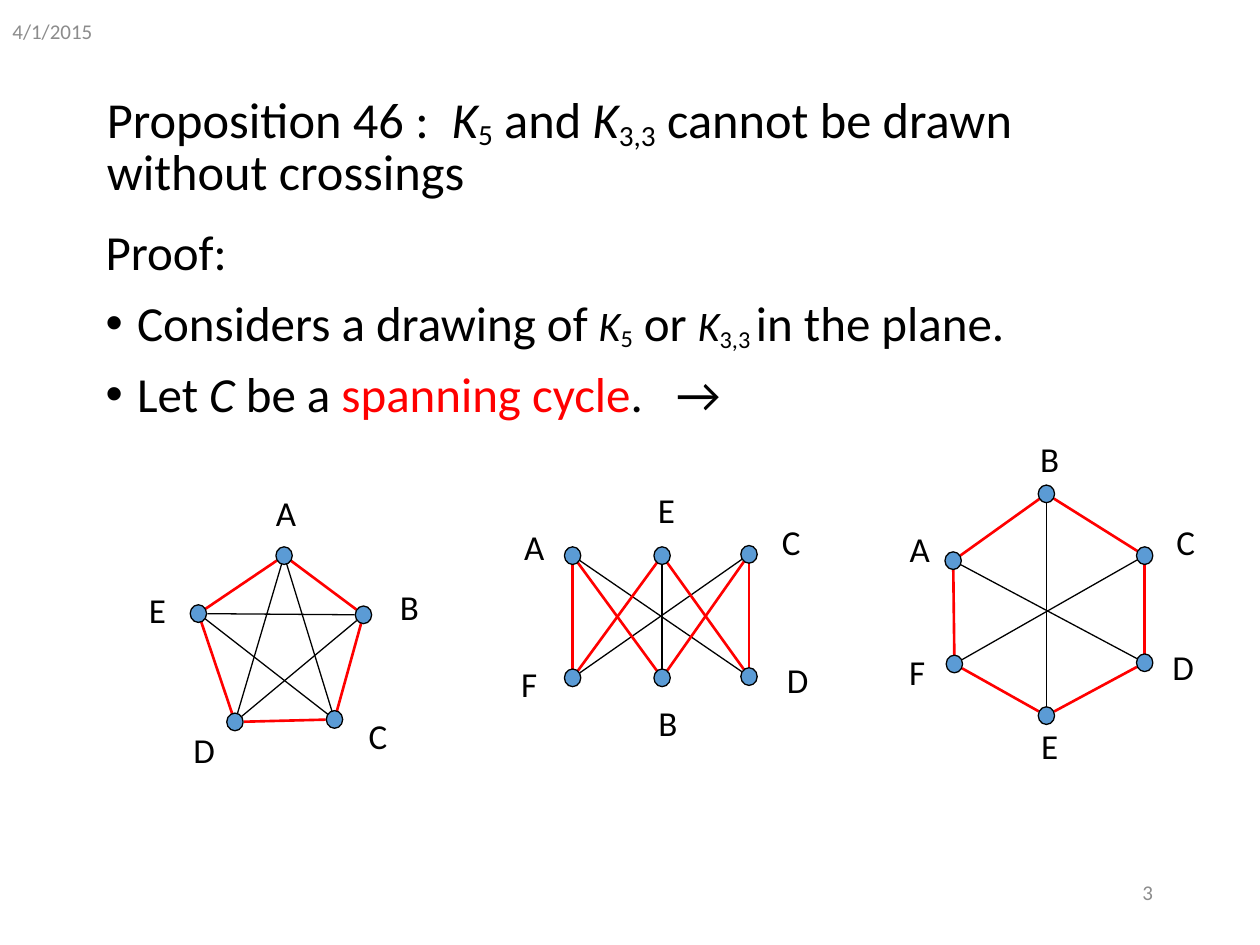
from dataclasses import dataclass
from math import hypot

from lxml.etree import SubElement
from pptx import Presentation
from pptx.dml.color import RGBColor
from pptx.enum.shapes import MSO_CONNECTOR, MSO_SHAPE
from pptx.enum.text import MSO_ANCHOR, PP_ALIGN
from pptx.oxml.ns import qn
from pptx.util import Pt

SCALE = 9144
DOT_W, DOT_H, LABEL_W, LABEL_H, GAP = 13, 14, 42, 43, 7


@dataclass(frozen=True)
class Theme:
    face: str = "Calibri"
    ink: str = "000000"
    mute: str = "8C8C8C"
    red: str = "FF0000"
    dot: str = "5B9BD5"
    note: float = 12
    title: float = 28.8
    body: float = 28
    math: float = 24
    label: float = 20
    thin: float = 0.75
    thick: float = 1.5


THEME = Theme()

TITLE = [
    ("Proposition 46 :  ", {}),
    ("K", {"italic": True}),
    ("5", {"base": -14}),
    (" and ", {}),
    ("K", {"italic": True}),
    ("3,3", {"base": -16}),
    (" cannot be drawn without crossings", {}),
]

PROOF = [("Proof:", {})]

DRAWING = [
    ("Considers a drawing of ", {}),
    ("K", {"size": THEME.math, "italic": True}),
    ("5", {"size": THEME.math, "base": -14}),
    (" or ", {}),
    ("K", {"size": THEME.math, "italic": True}),
    ("3,3 ", {"size": THEME.math, "base": -16}),
    ("in the plane.", {}),
]

CYCLE = [
    ("Let ", {}),
    ("C ", {"italic": True}),
    ("be a ", {}),
    ("spanning cycle", {"color": THEME.red}),
    (".   →", {}),
]

# Node order follows the spanning cycle: name, dot corner, label corner
GRAPHS = [
    (2, [
        ("A", (219, 434), (206, 385)),
        ("B", (282, 481), (304, 460)),
        ("C", (259, 564), (279, 562)),
        ("D", (180, 566), (141, 573)),
        ("E", (151, 480), (104, 462)),
    ]),
    (3, [
        ("A", (448, 434), (403, 412)),
        ("F", (448, 531), (399, 521)),
        ("E", (519, 434), (508, 383)),
        ("D", (588, 530), (612, 518)),
        ("C", (588, 433), (607, 408)),
        ("B", (519, 531), (509, 552)),
    ]),
    (3, [
        ("A", (750, 438), (709, 414)),
        ("B", (824, 385), (812, 342)),
        ("C", (902, 434), (920, 408)),
        ("D", (902, 519), (918, 507)),
        ("E", (824, 561), (812, 570)),
        ("F", (751, 520), (707, 511)),
    ]),
]


def px(*nums):
    return [round(num * SCALE) for num in nums]


def style(item, vals):
    for key, val in vals.items():
        setattr(item, key, val)


def add_box(slide, area, anchor=MSO_ANCHOR.TOP):
    frame = slide.shapes.add_textbox(*px(*area)).text_frame
    style(frame, {"word_wrap": True, "vertical_anchor": anchor})
    return frame


def add_run(para, text, size, color=THEME.ink, italic=False, base=0):
    run = para.add_run()
    run.text = text
    style(run.font, {"name": THEME.face, "size": Pt(size), "italic": italic})
    run.font.color.rgb = RGBColor.from_string(color)
    if base:
        run.font._element.set("baseline", str(base * 1000))


def add_runs(para, runs, size):
    for text, form in runs:
        add_run(para, text, **{"size": size, **form})


def add_note(slide, text, area, align=PP_ALIGN.LEFT):
    para = add_box(slide, area, MSO_ANCHOR.MIDDLE).paragraphs[0]
    para.alignment = align
    add_run(para, text, THEME.note, THEME.mute)


def add_title(slide):
    para = add_box(slide, (75, 67, 850, 100), MSO_ANCHOR.MIDDLE).paragraphs[0]
    para.line_spacing = 0.85
    add_runs(para, TITLE, THEME.title)


def add_body(slide):
    frame = add_box(slide, (74, 176, 856, 171))
    for num, runs in enumerate((PROOF, DRAWING, CYCLE)):
        para = frame.add_paragraph() if num else frame.paragraphs[0]
        style(para, {"line_spacing": 0.9, "space_before": Pt(10 if num else 0)})
        props = para._p.get_or_add_pPr()
        indent, = px(25)
        props.set("marL", str(indent))
        props.set("indent", str(-indent))
        if num:
            SubElement(props, qn("a:buFont"), typeface="Arial")
            SubElement(props, qn("a:buChar"), char="•")
        add_runs(para, runs, THEME.body)


def add_edge(slide, start, end, color, width):
    (ax, ay), (bx, by) = start, end
    span = hypot(bx - ax, by - ay)
    dx, dy = GAP * (bx - ax) / span, GAP * (by - ay) / span
    mid_x, mid_y = DOT_W / 2, DOT_H / 2
    ends = px(ax + mid_x + dx, ay + mid_y + dy, bx + mid_x - dx, by + mid_y - dy)
    edge = slide.shapes.add_connector(MSO_CONNECTOR.STRAIGHT, *ends)
    edge.line.color.rgb = RGBColor.from_string(color)
    edge.line.width = Pt(width)
    SubElement(edge._element.spPr, qn("a:effectLst"))


def add_dot(slide, spot):
    dot = slide.shapes.add_shape(MSO_SHAPE.OVAL, *px(*spot, DOT_W, DOT_H))
    dot.shadow.inherit = False
    dot.fill.solid()
    dot.fill.fore_color.rgb = RGBColor.from_string(THEME.dot)
    dot.line.color.rgb = RGBColor.from_string(THEME.ink)
    dot.line.width = Pt(THEME.thin)


def add_label(slide, text, spot):
    para = add_box(slide, (*spot, LABEL_W, LABEL_H)).paragraphs[0]
    para.alignment = PP_ALIGN.CENTER
    add_run(para, text, THEME.label)


def add_graph(slide, step, nodes):
    spots = [spot for _, spot, _ in nodes]
    count = len(spots)
    chords = {tuple(sorted((num, (num + step) % count))) for num in range(count)}
    for start, end in sorted(chords):
        add_edge(slide, spots[start], spots[end], THEME.ink, THEME.thin)
    for num, spot in enumerate(spots):
        add_edge(slide, spot, spots[(num + 1) % count], THEME.red, THEME.thick)
    for name, spot, place in nodes:
        add_dot(slide, spot)
        add_label(slide, name, place)


def main():
    deck = Presentation()
    deck.slide_width, deck.slide_height = px(1000, 750)
    slide = deck.slides.add_slide(deck.slide_layouts[6])
    add_note(slide, "4/1/2015", (0, 0, 208, 50))
    add_note(slide, "3", (717, 683, 208, 50), PP_ALIGN.RIGHT)
    add_title(slide)
    add_body(slide)
    for step, nodes in GRAPHS:
        add_graph(slide, step, nodes)
    deck.save("out.pptx")


if __name__ == "__main__":
    main()
